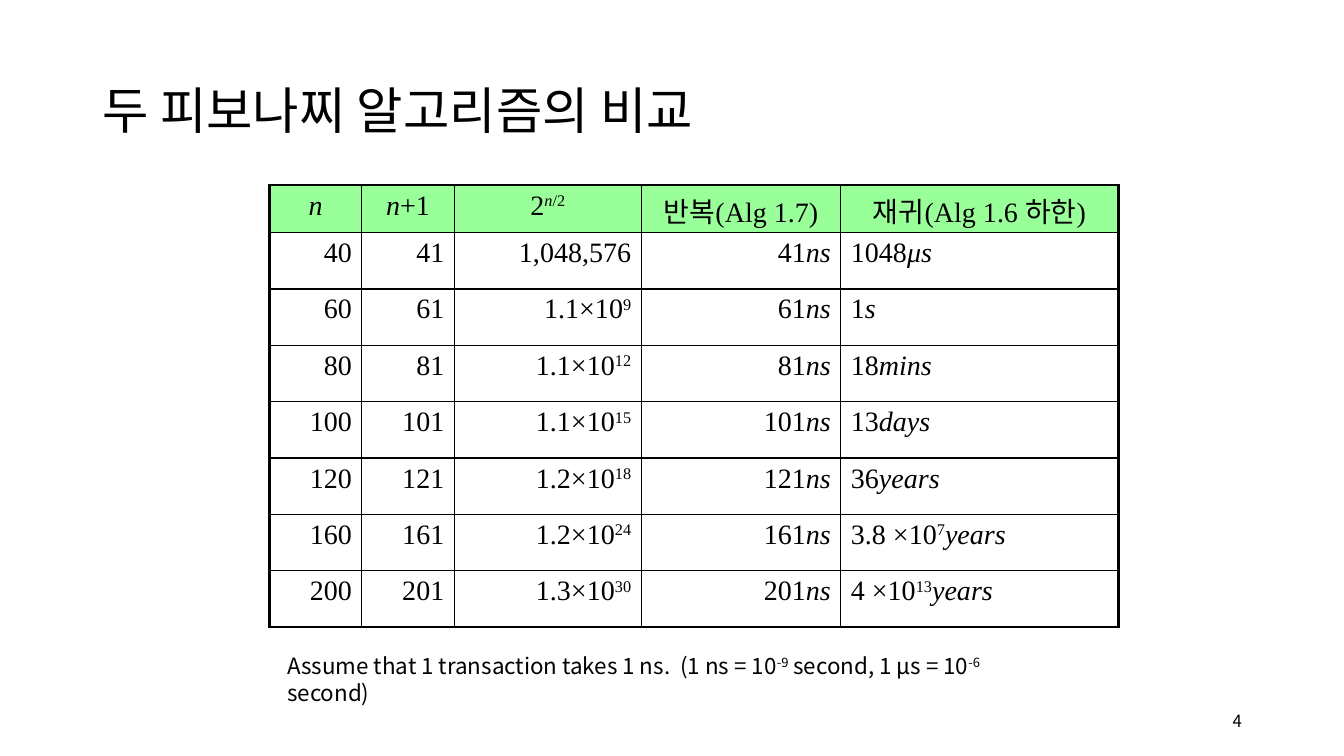
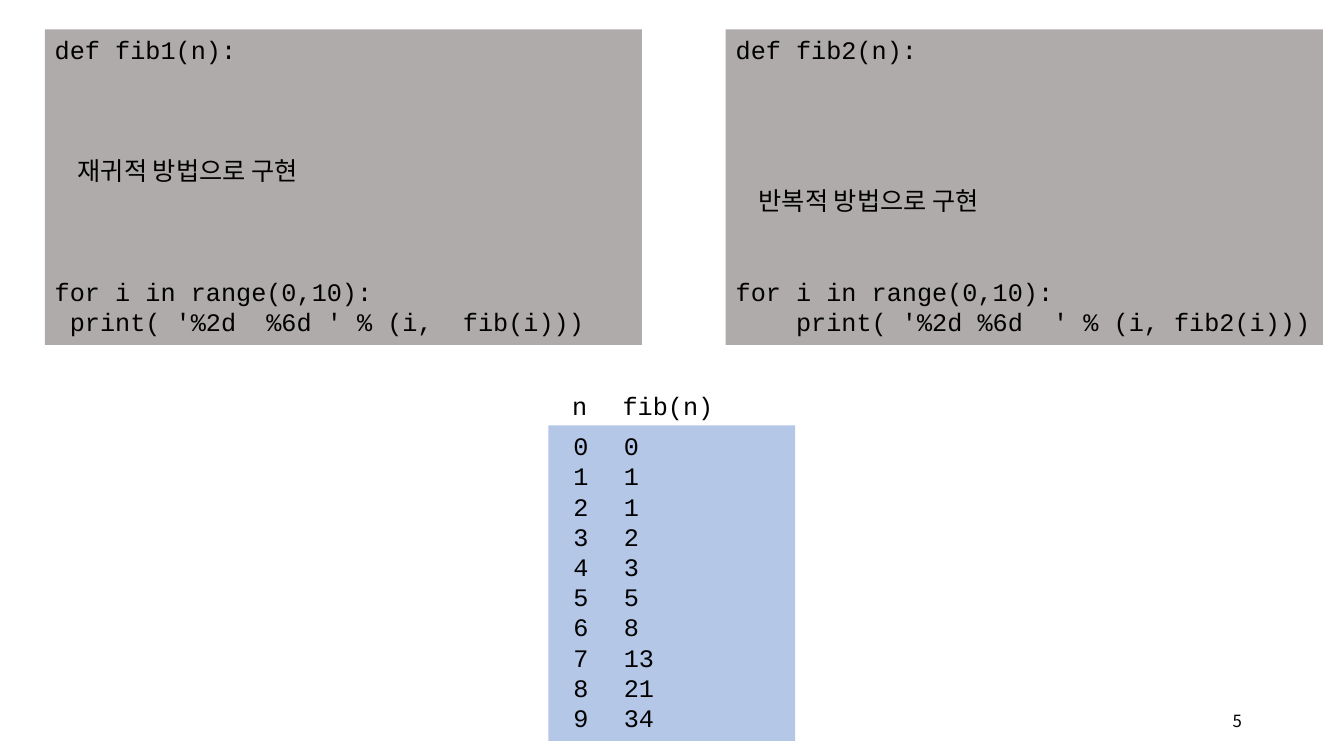
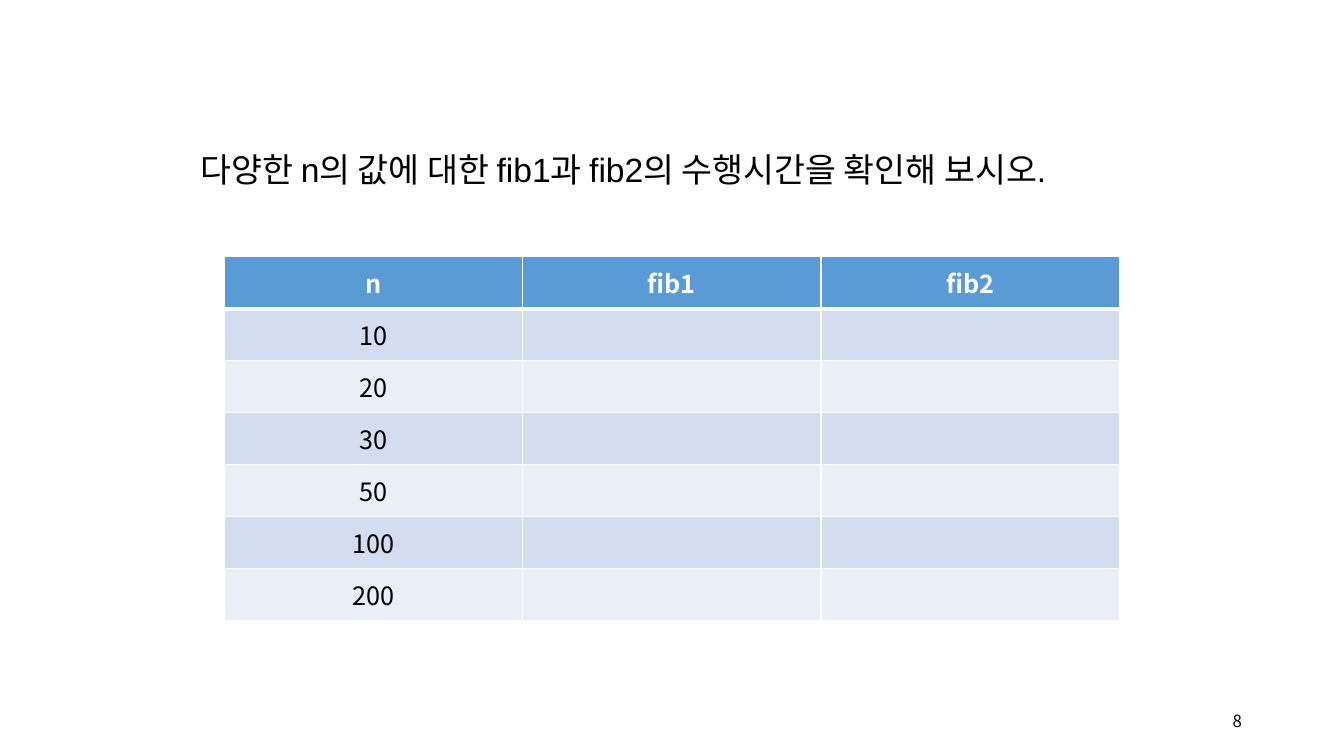
import dataclasses
import typing

import pptx
import pptx.dml.color
import pptx.enum.shapes
import pptx.enum.text
import pptx.oxml
import pptx.oxml.ns
import pptx.util

Cm = pptx.util.Cm
Align = pptx.enum.text.PP_ALIGN
Anchor = pptx.enum.text.MSO_ANCHOR

SANS = "Noto Sans CJK KR"
SERIF = "Times New Roman"
MONO = "Courier New"
BLACK, WHITE = "000000", "FFFFFF"
MINT, GREY, PALE_BLUE = "99FF99", "AFABAB", "B4C7E7"
HEADER_BLUE, BAND_DARK, BAND_LIGHT = "5B9BD5", "D2DEEF", "EAEFF7"

TITLE_ONLY_LAYOUT, BLANK_LAYOUT = 5, 6
CODE_LINE = 21.6  # points
CODE_CHARACTER = 0.381  # centimetres


@dataclasses.dataclass(frozen=True)
class Box:
    """A rectangle in centimetres."""
    left: float
    top: float
    width: float
    height: float

    def lengths(self) -> tuple:
        """Return left, top, width and height as lengths."""
        return tuple(Cm(value) for value in dataclasses.astuple(self))


@dataclasses.dataclass(frozen=True)
class Style:
    """How the characters of a text look."""
    font: str
    size: float
    color: str = BLACK
    bold: bool = False


@dataclasses.dataclass(frozen=True)
class Run:
    """A piece of text with its own slant and baseline."""
    text: str
    italic: bool = False
    raised: bool = False


@dataclasses.dataclass(frozen=True)
class Line:
    """A paragraph: runs, alignment, indent in cm, space before in points."""
    runs: tuple[Run, ...]
    align: typing.Any = Align.LEFT
    indent: float = 0
    before: float = 0
    spacing: float = 1
    tab: tuple[float, str] | None = None


@dataclasses.dataclass(frozen=True)
class CodePanel:
    """A listing whose body is left for the reader to write."""
    left: float
    name: str
    task: str
    blanks_above: int
    blanks_below: int
    call: str
    call_indent: int


@dataclasses.dataclass(frozen=True)
class Timing:
    """One row of the comparison of the two algorithms."""
    n: int
    power: tuple[Run, ...]
    recursive: tuple[Run, ...]


def plain(text: str, **options: typing.Any) -> Line:
    """Make a paragraph of a single run."""
    return Line((Run(text),), **options)


def rgb(color: str) -> pptx.dml.color.RGBColor:
    """Turn a hex string into a colour."""
    return pptx.dml.color.RGBColor.from_string(color)


def fill_solid(item: typing.Any, color: str) -> None:
    """Fill a shape or a cell with one colour."""
    item.fill.solid()
    item.fill.fore_color.rgb = rgb(color)


def add_run(paragraph: typing.Any, run: Run, style: Style) -> None:
    """Append one run to a paragraph."""
    text_run = paragraph.add_run()
    text_run.text = run.text
    font = text_run.font
    font.name, font.size = style.font, pptx.util.Pt(style.size)
    font.bold, font.italic = style.bold, run.italic
    font.color.rgb = rgb(style.color)
    properties = text_run._r.get_or_add_rPr()
    east_asian = properties.makeelement(pptx.oxml.ns.qn("a:ea"), {"typeface": SANS})
    properties.find(pptx.oxml.ns.qn("a:latin")).addnext(east_asian)
    if run.raised:
        properties.set("baseline", "30000")


def write_lines(frame: typing.Any, lines: typing.Sequence[Line], style: Style,
                anchor: typing.Any = Anchor.TOP) -> None:
    """Write paragraphs into an empty text frame."""
    frame.word_wrap = True
    frame.vertical_anchor = anchor
    for index, line in enumerate(lines):
        paragraph = frame.add_paragraph() if index else frame.paragraphs[0]
        paragraph.alignment = line.align
        paragraph.line_spacing = line.spacing
        paragraph.space_before = pptx.util.Pt(line.before)
        properties = paragraph._p.get_or_add_pPr()
        properties.set("marL", str(int(Cm(line.indent))))
        properties.set("indent", "0")
        if line.tab:
            position, side = line.tab
            properties.append(pptx.oxml.parse_xml(
                f'<a:tabLst {pptx.oxml.ns.nsdecls("a")}>'
                f'<a:tab pos="{int(Cm(position))}" algn="{side}"/></a:tabLst>'))
        for run in line.runs:
            add_run(paragraph, run, style)


def add_text(slide: typing.Any, box: Box, lines: typing.Sequence[Line],
             style: Style, anchor: typing.Any = Anchor.TOP) -> None:
    """Add a text box."""
    shape = slide.shapes.add_textbox(*box.lengths())
    write_lines(shape.text_frame, lines, style, anchor)


def add_panel(slide: typing.Any, box: Box, color: str,
              lines: typing.Sequence[Line], inset: float = 0.25) -> None:
    """Add a filled rectangle with monospaced text."""
    shape = slide.shapes.add_shape(
        pptx.enum.shapes.MSO_SHAPE.RECTANGLE, *box.lengths())
    shape.shadow.inherit = False
    shape.line.fill.background()
    fill_solid(shape, color)
    shape.text_frame.margin_left = Cm(inset)
    write_lines(shape.text_frame, lines, Style(MONO, 18))


def set_title(slide: typing.Any, box: Box, line: Line, style: Style,
              anchor: typing.Any) -> None:
    """Move and fill the title placeholder."""
    title = slide.shapes.title
    title.left, title.top, title.width, title.height = box.lengths()
    title.text_frame.auto_size = pptx.enum.text.MSO_AUTO_SIZE.NONE
    write_lines(title.text_frame, [line], style, anchor)


def new_slide(presentation: typing.Any, layout: int, number: int) -> typing.Any:
    """Add a slide with its page number."""
    slide = presentation.slides.add_slide(presentation.slide_layouts[layout])
    add_text(slide, Box(23.93, 17.65, 7.62, 1.02),
             [plain(str(number), align=Align.RIGHT)], Style(SANS, 12), Anchor.MIDDLE)
    return slide


def add_grid(slide: typing.Any, box: Box, widths: typing.Sequence[float],
             heights: typing.Sequence[float]) -> typing.Any:
    """Add a table without style bands and size its columns and rows."""
    table = slide.shapes.add_table(len(heights), len(widths), *box.lengths()).table
    table.first_row = table.horz_banding = False
    for column, width in zip(table.columns, widths):
        column.width = Cm(width)
    for row, height in zip(table.rows, heights):
        row.height = Cm(height)
    return table


def set_borders(cell: typing.Any, color: str, left: float, right: float,
                top: float, bottom: float) -> None:
    """Draw the four borders of a cell, widths in points."""
    properties = cell._tc.get_or_add_tcPr()
    sides = zip("LRTB", (left, right, top, bottom))
    for index, (side, width) in enumerate(sides):
        properties.insert(index, pptx.oxml.parse_xml(
            f'<a:ln{side} {pptx.oxml.ns.nsdecls("a")} w="{int(pptx.util.Pt(width))}">'
            f'<a:solidFill><a:srgbClr val="{color}"/></a:solidFill></a:ln{side}>'))


def power_of_ten(factor: str, exponent: int) -> tuple[Run, ...]:
    """Write a number in scientific notation."""
    return Run(f"{factor}×10"), Run(str(exponent), raised=True)


def duration(value: str, unit: str) -> tuple[Run, ...]:
    """Write a time with its unit in italics."""
    return Run(value), Run(unit, italic=True)


TIMINGS = [
    Timing(40, (Run("1,048,576"),), duration("1048", "μs")),
    Timing(60, power_of_ten("1.1", 9), duration("1", "s")),
    Timing(80, power_of_ten("1.1", 12), duration("18", "mins")),
    Timing(100, power_of_ten("1.1", 15), duration("13", "days")),
    Timing(120, power_of_ten("1.2", 18), duration("36", "years")),
    Timing(160, power_of_ten("1.2", 24),
           power_of_ten("3.8 ", 7) + (Run("years", italic=True),)),
    Timing(200, power_of_ten("1.3", 30),
           power_of_ten("4 ", 13) + (Run("years", italic=True),)),
]
TIMING_HEADER = [
    (Run("n", italic=True),),
    (Run("n", italic=True), Run("+1")),
    (Run("2"), Run("n", italic=True, raised=True), Run("/2", raised=True)),
    (Run("반복(Alg 1.7)"),),
    (Run("재귀(Alg 1.6 하한)"),),
]
CODE_PANELS = [
    CodePanel(1.13, "fib1", "재귀적 방법으로 구현", 3, 3,
              "print( '%2d  %6d ' % (i,  fib(i)))", 1),
    CodePanel(18.29, "fib2", "반복적 방법으로 구현", 4, 2,
              "print( '%2d %6d  ' % (i, fib2(i)))", 4),
]
FIBONACCI = [0, 1, 1, 2, 3, 5, 8, 13, 21, 34]
TRIAL_SIZES = [10, 20, 30, 50, 100, 200]


def build_comparison(presentation: typing.Any) -> None:
    """Slide that compares the running times of the two algorithms."""
    slide = new_slide(presentation, TITLE_ONLY_LAYOUT, 4)
    set_title(slide, Box(2.33, 1.01, 29.21, 3.68),
              plain("두 피보나찌 알고리즘의 비교", spacing=0.9),
              Style(SANS, 36), Anchor.MIDDLE)
    rows = [TIMING_HEADER] + [
        [(Run(str(timing.n)),), (Run(str(timing.n + 1)),), timing.power,
         duration(str(timing.n + 1), "ns"), timing.recursive]
        for timing in TIMINGS]
    table = add_grid(slide, Box(6.79, 4.66, 21.39, 11.08),
                     [2.33, 2.33, 4.71, 5.03, 6.99],
                     [1.2] + [1.42] * len(TIMINGS))
    last_row, last_column = len(rows) - 1, len(TIMING_HEADER) - 1
    inner, outer = 1, 2.25
    for row_index, row in enumerate(rows):
        for column_index, runs in enumerate(row):
            cell = table.cell(row_index, column_index)
            if row_index == 0:
                fill_solid(cell, MINT)
                align = Align.CENTER
            else:
                cell.fill.background()
                align = Align.LEFT if column_index == last_column else Align.RIGHT
            set_borders(cell, BLACK,
                        left=outer if column_index == 0 else inner,
                        right=outer if column_index == last_column else inner,
                        top=outer if row_index == 0 else inner,
                        bottom=outer if row_index == last_row else inner)
            write_lines(cell.text_frame, [Line(runs, align)], Style(SERIF, 20))
    assumption = Line((
        Run("Assume that 1 transaction takes 1 ns.  (1 ns = 10"),
        Run("-9", raised=True), Run(" second, 1 μs = 10"),
        Run("-6", raised=True), Run(" second)")))
    add_text(slide, Box(6.99, 16.3, 18.52, 1.8), [assumption], Style(SANS, 16))


def build_code(presentation: typing.Any) -> None:
    """Slide with two listings and the values they print."""
    slide = new_slide(presentation, BLANK_LAYOUT, 5)
    for panel in CODE_PANELS:
        add_panel(slide, Box(panel.left, 0.74, 15.05, 7.95), GREY, [
            plain(f"def {panel.name}(n):"),
            plain(panel.task, indent=0.58, before=panel.blanks_above * CODE_LINE),
            plain("for i in range(0,10):", before=panel.blanks_below * CODE_LINE),
            plain(panel.call, indent=panel.call_indent * CODE_CHARACTER),
        ])
    add_panel(slide, Box(13.82, 10.72, 6.22, 7.95), PALE_BLUE,
              [plain(f"{n}\t{value}", tab=(9 * CODE_CHARACTER, "r"))
               for n, value in enumerate(FIBONACCI)],
              inset=0.25 + CODE_CHARACTER)
    add_text(slide, Box(14.17, 9.7, 5.11, 1.02),
             [plain("n\tfib(n)", tab=(6 * CODE_CHARACTER, "l"))], Style(MONO, 18))


def build_exercise(presentation: typing.Any) -> None:
    """Slide with an empty table for measured times."""
    slide = new_slide(presentation, TITLE_ONLY_LAYOUT, 8)
    set_title(slide, Box(4.8, 3.12, 24.9, 1.8),
              plain("다양한 n의 값에 대한 fib1과 fib2의 수행시간을 확인해 보시오.",
                    spacing=1.5),
              Style("Arial", 24), Anchor.TOP)
    rows = [["n", "fib1", "fib2"]] + [[str(size), "", ""] for size in TRIAL_SIZES]
    table = add_grid(slide, Box(5.65, 6.47, 22.56, 9.17),
                     [7.52] * 3, [1.31] * len(rows))
    for row_index, row in enumerate(rows):
        is_header = row_index == 0
        band = BAND_DARK if row_index % 2 else BAND_LIGHT
        style = Style(SANS, 18, WHITE if is_header else BLACK, is_header)
        for column_index, text in enumerate(row):
            cell = table.cell(row_index, column_index)
            fill_solid(cell, HEADER_BLUE if is_header else band)
            set_borders(cell, WHITE, left=1, right=1,
                        top=3 if row_index == 1 else 1,
                        bottom=3 if is_header else 1)
            if text:
                cell.vertical_anchor = Anchor.MIDDLE
                write_lines(cell.text_frame, [plain(text, align=Align.CENTER)],
                            style, Anchor.MIDDLE)


def main() -> None:
    """Build and save the presentation."""
    presentation = pptx.Presentation()
    presentation.slide_width, presentation.slide_height = Cm(33.87), Cm(19.05)
    build_comparison(presentation)
    build_code(presentation)
    build_exercise(presentation)
    presentation.save("out.pptx")


main()
